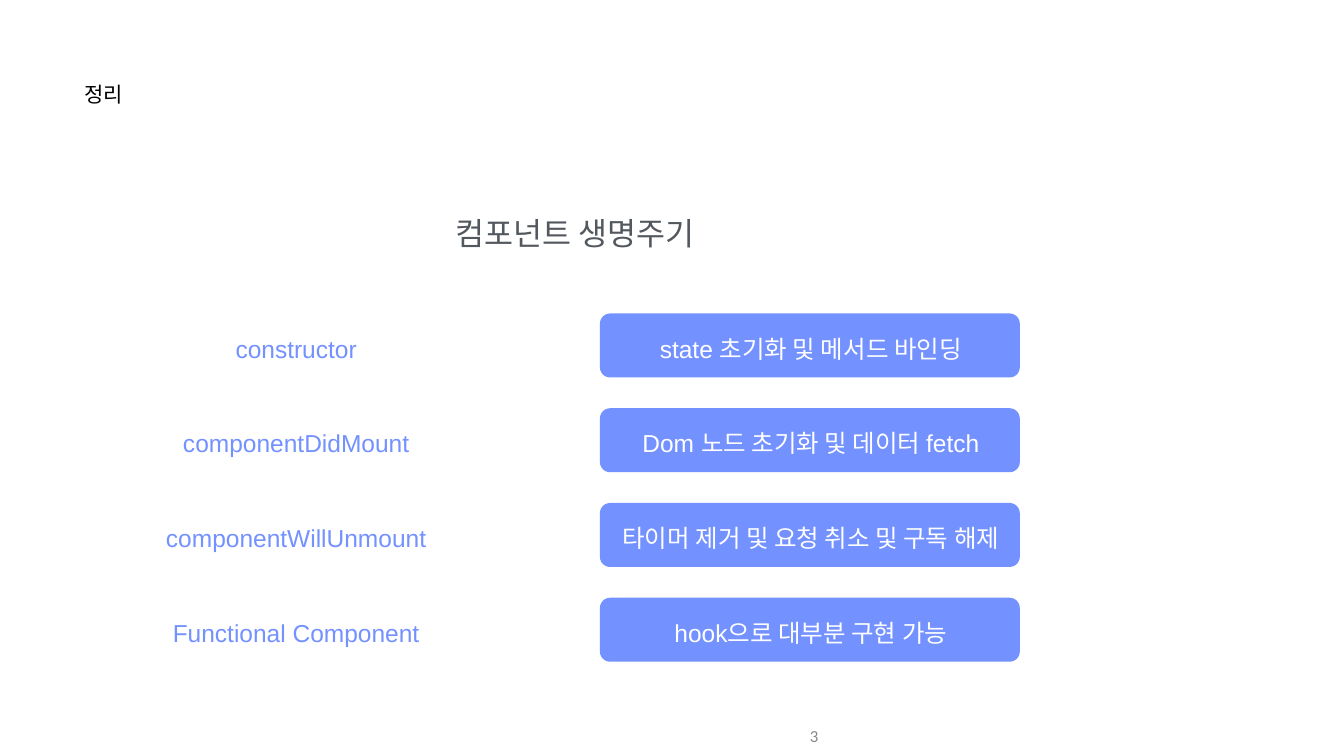
from dataclasses import dataclass

import pptx
import pptx.dml.color
import pptx.enum.shapes
import pptx.enum.text
import pptx.util
from pptx.enum.text import MSO_ANCHOR, PP_ALIGN
from pptx.util import Inches

BLUE = "7391FF"
WHITE = "FFFFFF"
FIRST_ROW_TOP = 6.22
ROW_STEP = 1.88
BAR_LEFT, BAR_WIDTH, BAR_HEIGHT = 11.9, 8.33, 1.27
METHOD_LEFT, METHOD_WIDTH = 2.75, 6.25
TEXT_HEIGHT = 0.62
TEXT_OFFSET = 0.38


@dataclass
class Label:
    text: str
    left: float
    top: float
    width: float
    height: float
    size: float
    color: str
    align: PP_ALIGN = PP_ALIGN.CENTER
    anchor: MSO_ANCHOR = MSO_ANCHOR.MIDDLE
    font: str = "Arial"
    margin_x: float = 0.01
    margin_y: float = 0.01


@dataclass
class LifecycleRow:
    method: str
    purpose: str


ROWS = [
    LifecycleRow("constructor", "state 초기화 및 메서드 바인딩"),
    LifecycleRow("componentDidMount", "Dom 노드 초기화 및 데이터 fetch"),
    LifecycleRow("componentWillUnmount", "타이머 제거 및 요청 취소 및 구독 해제"),
    LifecycleRow("Functional Component", "hook으로 대부분 구현 가능"),
]


def rgb(value: str) -> pptx.dml.color.RGBColor:
    return pptx.dml.color.RGBColor.from_string(value)


def add_label(slide, label: Label) -> None:
    shape = slide.shapes.add_textbox(
        Inches(label.left), Inches(label.top), Inches(label.width), Inches(label.height)
    )
    frame = shape.text_frame
    frame.word_wrap = True
    frame.vertical_anchor = label.anchor
    frame.margin_left = frame.margin_right = Inches(label.margin_x)
    frame.margin_top = frame.margin_bottom = Inches(label.margin_y)
    paragraph = frame.paragraphs[0]
    paragraph.text = label.text
    paragraph.alignment = label.align
    paragraph.font.name = label.font
    paragraph.font.size = pptx.util.Pt(label.size)
    paragraph.font.color.rgb = rgb(label.color)


def add_bar(slide, top: float) -> None:
    shape = slide.shapes.add_shape(
        pptx.enum.shapes.MSO_SHAPE.ROUNDED_RECTANGLE,
        Inches(BAR_LEFT), Inches(top), Inches(BAR_WIDTH), Inches(BAR_HEIGHT),
    )
    shape.adjustments[0] = 0.16
    shape.shadow.inherit = False
    shape.fill.solid()
    shape.fill.fore_color.rgb = rgb(BLUE)
    shape.line.fill.background()


def add_row(slide, row: LifecycleRow, top: float) -> None:
    add_bar(slide, top)
    text_top = top + TEXT_OFFSET
    add_label(slide, Label(row.method, METHOD_LEFT, text_top, METHOD_WIDTH, TEXT_HEIGHT, 35, BLUE))
    add_label(slide, Label(row.purpose, BAR_LEFT + 0.02, text_top, BAR_WIDTH, TEXT_HEIGHT, 35, WHITE))


def main() -> None:
    presentation = pptx.Presentation()
    presentation.slide_width = Inches(26.66)
    presentation.slide_height = Inches(15)
    slide = presentation.slides.add_slide(presentation.slide_layouts[6])

    # Headings
    add_label(slide, Label("정리", 1.67, 1.6, 4.86, 1.18, 30, "000000",
                           PP_ALIGN.LEFT, MSO_ANCHOR.TOP))
    add_label(slide, Label("컴포넌트 생명주기", 2.64, 4.24, 17.54, 0.79, 45, "53585F",
                           anchor=MSO_ANCHOR.TOP))

    # Lifecycle methods and their purposes
    for index, row in enumerate(ROWS):
        add_row(slide, row, FIRST_ROW_TOP + index * ROW_STEP)

    # Page number
    add_label(slide, Label("3", 10.33, 14.21, 6, 0.79, 24, "888888", PP_ALIGN.RIGHT,
                           font="Calibri", margin_x=0.1, margin_y=0.05))

    presentation.save("out.pptx")


if __name__ == "__main__":
    main()
